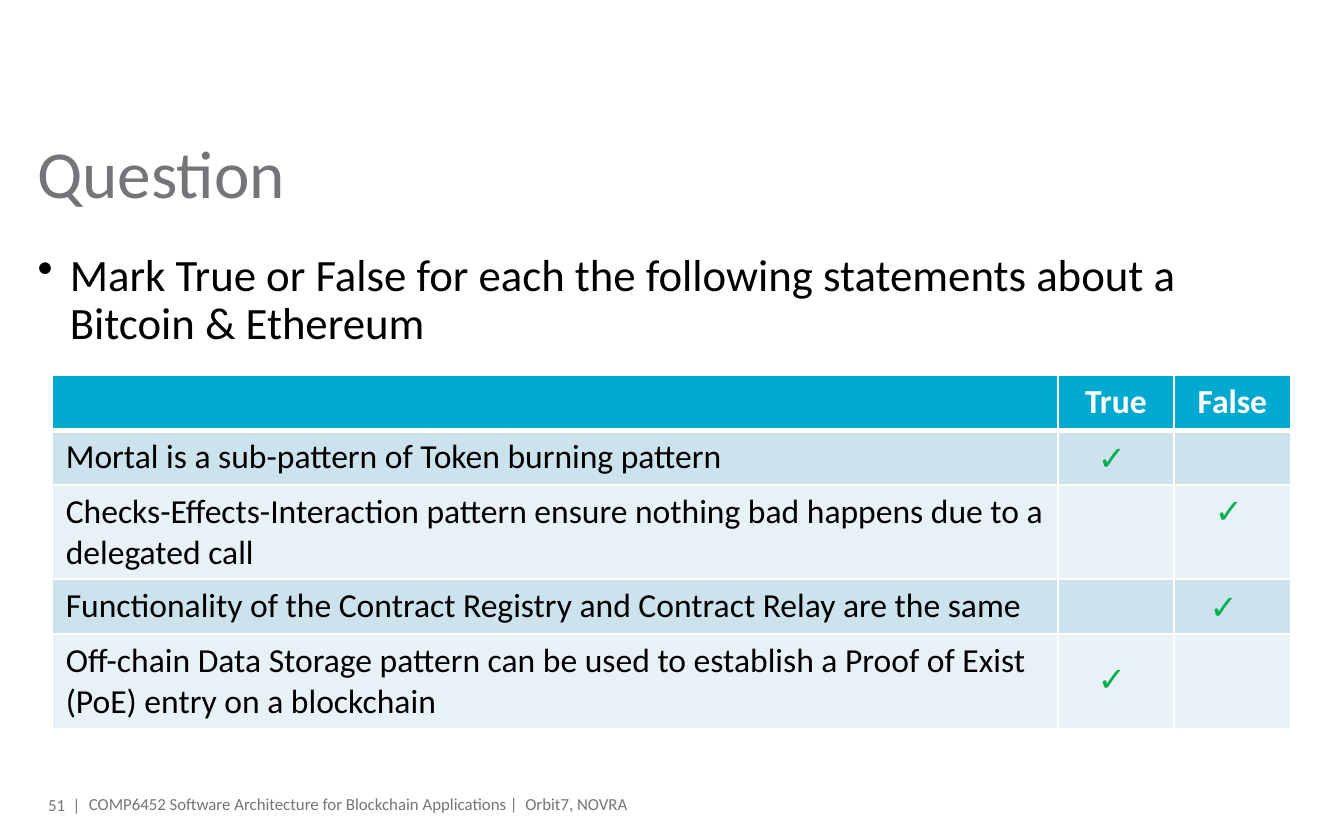
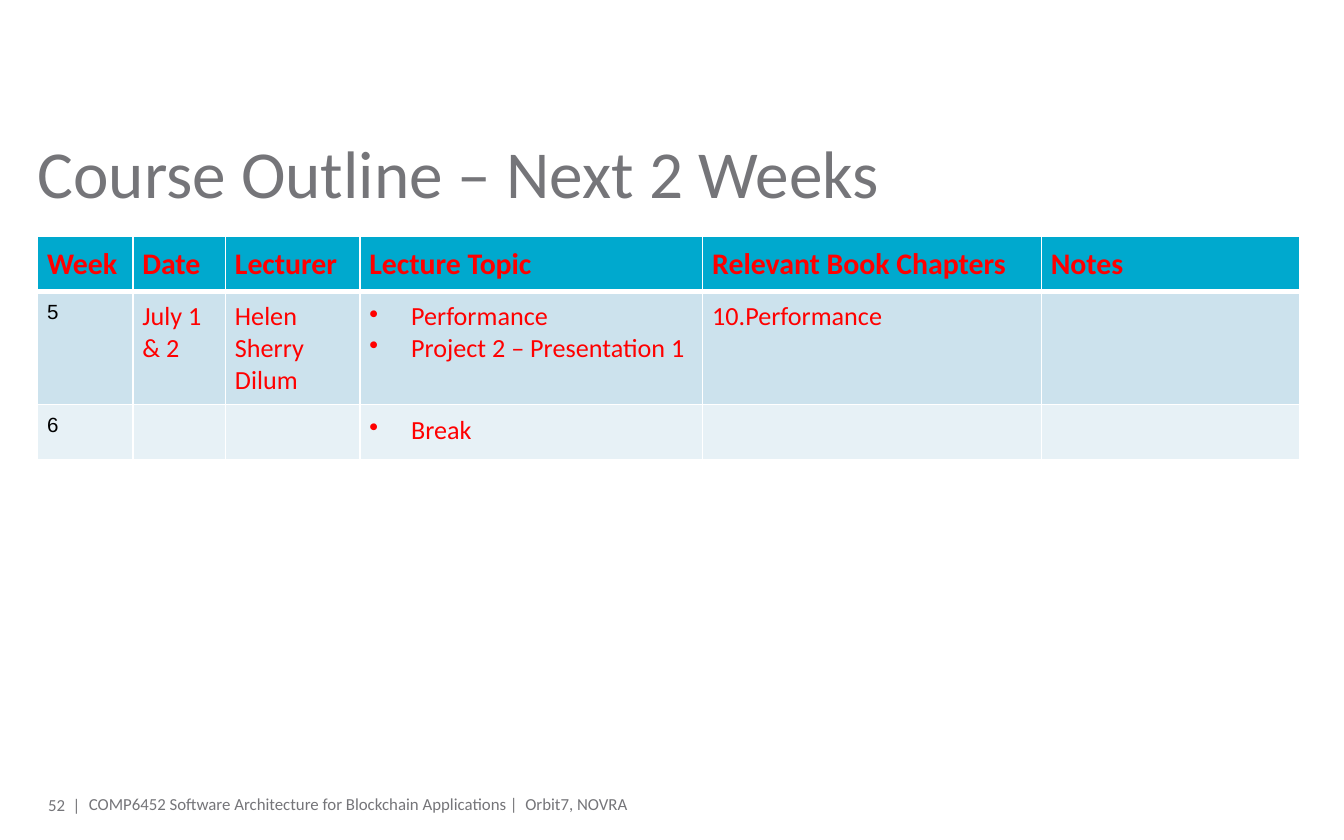
"""Build the quiz slide and the course outline slide."""
from lxml import etree
from pptx import Presentation, util as u
from pptx.dml.color import RGBColor
from pptx.enum import text
from pptx.oxml import ns

Cm = u.Cm
hues = {"grey": "757579", "black": "000000", "white": "FFFFFF", "red": "FF0000",
        "green": "00B050", "head": "00A9CE", "odd": "CCE2ED", "even": "E7F1F6"}
base = {"name": "Calibri", "size": 18, "bold": False, "hue": "black"}
title = base | {"size": 36, "hue": "grey"}
body = base | {"size": 24, "bullet": 0.61, "para": {"line_spacing": 0.9, "space_before": u.Pt(6)}}
mid = {"alignment": text.PP_ALIGN.CENTER}
small = base | {"size": 9, "hue": "grey"}
page = small | {"para": {"alignment": text.PP_ALIGN.RIGHT}}
tick = {"name": "Lato", "size": 18, "bold": True, "hue": "green", "para": mid}
head = base | {"bold": True, "hue": "white", "para": mid}
top = base | {"size": 16, "bold": True, "hue": "red"}
week = base | {"name": "Arial", "size": 11}
plan = base | {"size": 14, "hue": "red"}
topic = plan | {"bullet": 0.79}


def write(frame, words, form):
    for n, line in enumerate(words.split("\n")):
        para = frame.add_paragraph() if n else frame.paragraphs[0]
        for key, val in form.get("para", {}).items():
            setattr(para, key, val)
        if "bullet" in form:
            props = para._p.get_or_add_pPr()
            props.set("marL", str(Cm(form["bullet"])))
            props.set("indent", str(-Cm(form["bullet"])))
            etree.SubElement(props, ns.qn("a:buChar")).set("char", "•")
        run = para.add_run()
        run.text = line
        for key, val in (("name", form["name"]), ("size", u.Pt(form["size"])), ("bold", form["bold"])):
            setattr(run.font, key, val)
        run.font.color.rgb = RGBColor.from_string(hues[form["hue"]])


def place(slide, box, words, form, pad=0, wrap=True, anchor=text.MSO_ANCHOR.TOP):
    frame = slide.shapes.add_textbox(*map(Cm, box)).text_frame
    look = {"word_wrap": wrap, "vertical_anchor": anchor,
            "margin_left": Cm(pad), "margin_right": Cm(pad),
            "margin_top": Cm(pad / 2), "margin_bottom": Cm(pad / 2)}
    for key, val in look.items():
        setattr(frame, key, val)
    write(frame, words, form)


deck = Presentation()
deck.slide_width, deck.slide_height = Cm(25.4), Cm(15.88)

quiz = {
    "title": "Question", "at": (0.99, 7.09), "cols": (19, 2.2, 2.2),
    "rows": (1.04, 1.04, 1.78, 1.04, 1.78), "head": head, "forms": (base,) * 3, "pad": None,
    "cells": (
        ("", "True", "False"),
        ("Mortal is a sub-pattern of Token burning pattern", "", ""),
        ("Checks-Effects-Interaction pattern ensure nothing bad happens due to a delegated call", "", ""),
        ("Functionality of the Contract Registry and Contract Relay are the same", "", ""),
        ("Off-chain Data Storage pattern can be used to establish a Proof of Exist (PoE) entry on a blockchain", "", ""),
    ),
    "lead": "Mark True or False for each the following statements about a Bitcoin & Ethereum",
    "ticks": ((20.5, 8.13), (22.71, 9.14), (22.61, 10.95), (20.5, 12.32)),
}
course = {
    "title": "Course Outline – Next 2 Weeks", "at": (0.71, 4.47),
    "cols": (1.8, 1.75, 2.54, 6.48, 6.4, 4.88), "rows": (1.04, 2.13, 1.04),
    "head": top, "forms": (week, plan, plan, topic, plan, plan), "pad": 0.18,
    "cells": (
        ("Week", "Date", "Lecturer", "Lecture Topic", "Relevant Book Chapters", "Notes"),
        ("5", "July 1 & 2", "Helen\nSherry\nDilum", "Performance\nProject 2 – Presentation 1", "10.Performance", ""),
        ("6", "", "", "Break", "", ""),
    ),
    "lead": "", "ticks": (),
}

for num, spec_ in enumerate((quiz, course), 51):
    slide = deck.slides.add_slide(deck.slide_layouts[6])
    place(slide, (0.71, 2.49, 24, 1.98), spec_["title"], title)
    if spec_["lead"]:
        place(slide, (0.71, 4.78, 24, 1.98), spec_["lead"], body)

    cols, rows = spec_["cols"], spec_["rows"]
    size = sum(cols), sum(rows)
    table = slide.shapes.add_table(len(rows), len(cols), *map(Cm, spec_["at"] + size)).table
    for col, wide in zip(table.columns, cols):
        col.width = Cm(wide)
    for r, (row, high) in enumerate(zip(table.rows, rows)):
        row.height = Cm(high)
        for c, words in enumerate(spec_["cells"][r]):
            cell = table.cell(r, c)
            cell.fill.solid()
            shade = "head" if r == 0 else "odd" if r % 2 else "even"
            cell.fill.fore_color.rgb = RGBColor.from_string(hues[shade])
            for n, side in enumerate("LRTB"):
                thick = 3 if (r, side) in ((0, "B"), (1, "T")) else 1
                edge = etree.Element(ns.qn(f"a:ln{side}"), w=str(u.Pt(thick)))
                fill = etree.SubElement(edge, ns.qn("a:solidFill"))
                etree.SubElement(fill, ns.qn("a:srgbClr"), val=hues["white"])
                cell._tc.get_or_add_tcPr().insert(n, edge)
            if words:
                if spec_["pad"]:
                    for side in ("left", "right", "top", "bottom"):
                        setattr(cell, f"margin_{side}", Cm(spec_["pad"]))
                write(cell.text_frame, words, spec_["forms"][c] if r else spec_["head"])

    for x, y in spec_["ticks"]:
        place(slide, (x, y, 0.99, 1.02), "✓", tick, pad=0.25, wrap=False)

    place(slide, (1.68, 15.06, 16.89, 0.28),
          "COMP6452 Software Architecture for Blockchain Applications |\u00a0 Orbit7, NOVRA".replace("\u00a0", " "),
          small, anchor=text.MSO_ANCHOR.MIDDLE)
    place(slide, (0.71, 15.06, 0.81, 0.3), f"{num}  |", page, anchor=text.MSO_ANCHOR.MIDDLE)

deck.save("out.pptx")
